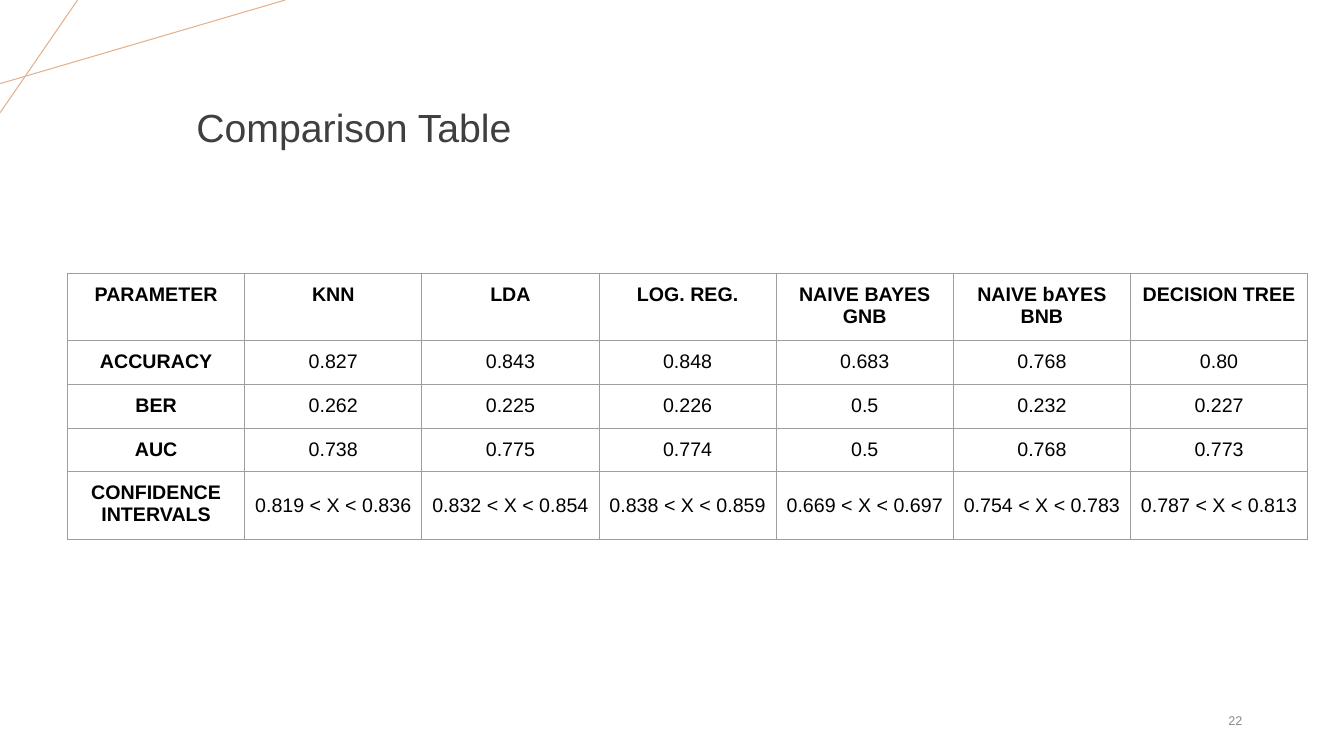
from dataclasses import dataclass

from lxml import etree
from pptx import Presentation
from pptx.dml.color import RGBColor
from pptx.enum.shapes import MSO_CONNECTOR
from pptx.enum.text import MSO_ANCHOR, PP_ALIGN
from pptx.oxml.ns import qn
from pptx.util import Pt

STRAIGHT = MSO_CONNECTOR.STRAIGHT
TOP, MIDDLE = MSO_ANCHOR.TOP, MSO_ANCHOR.MIDDLE
CENTER, RIGHT = PP_ALIGN.CENTER, PP_ALIGN.RIGHT
TITLE_ONLY = 5
EMU_PER_PX = 9144  # 100 px to the inch


@dataclass(frozen=True)
class Theme:
    font: str = "Arial"
    accent: str = "E2B08C"
    title: str = "3F3F3F"
    ink: str = "000000"
    muted: str = "888888"
    grid: str = "9E9E9E"
    title_size: int = 28
    table_size: int = 14
    number_size: int = 9
    line_width: float = 0.75


def px(n):
    return n * EMU_PER_PX


def write(tf, text, *, font, size, color, bold=False, align=CENTER, spacing=None):
    """Fill a text frame, one paragraph for each line of text."""
    for i, line in enumerate(text.split("\n")):
        p = tf.add_paragraph() if i else tf.paragraphs[0]
        p.alignment = align
        if spacing:
            p.line_spacing = spacing
        r = p.add_run()
        r.text = line
        r.font.name, r.font.size, r.font.bold = font, Pt(size), bold
        r.font.color.rgb = RGBColor.from_string(color)


class Deck:
    def __init__(self, theme, width, height):
        self.t = theme
        self.prs = Presentation()
        self.prs.slide_width, self.prs.slide_height = px(width), px(height)
        self.s = self.prs.slides.add_slide(self.prs.slide_layouts[TITLE_ONLY])

    def frame(self, sp):
        tf = sp.text_frame
        tf.word_wrap = True
        tf.vertical_anchor = MIDDLE
        tf.margin_left = tf.margin_right = px(10)
        tf.margin_top = tf.margin_bottom = px(5)
        return tf

    def line(self, x1, y1, x2, y2):
        c = self.s.shapes.add_connector(STRAIGHT, px(x1), px(y1), px(x2), px(y2))
        c.line.color.rgb = RGBColor.from_string(self.t.accent)
        c.line.width = Pt(self.t.line_width)
        etree.SubElement(c._element.spPr, qn("a:effectLst"))

    def title(self, text, x, y, w, h):
        sp = self.s.shapes.title
        sp.left, sp.top, sp.width, sp.height = px(x), px(y), px(w), px(h)
        write(self.frame(sp), text, font=self.t.font, size=self.t.title_size,
              color=self.t.title, spacing=0.9)

    def page_number(self, text, x, y, w, h):
        sp = self.s.shapes.add_textbox(px(x), px(y), px(w), px(h))
        write(self.frame(sp), text, font=self.t.font, size=self.t.number_size,
              color=self.t.muted, align=RIGHT)

    def borders(self, cell):
        tcPr = cell._tc.get_or_add_tcPr()
        for i, side in enumerate(("lnL", "lnR", "lnT", "lnB")):
            ln = etree.Element(qn(f"a:{side}"), w=str(Pt(self.t.line_width)))
            fill = etree.SubElement(ln, qn("a:solidFill"))
            etree.SubElement(fill, qn("a:srgbClr"), val=self.t.grid)
            tcPr.insert(i, ln)

    def table(self, rows, x, y, w, heights):
        n = len(rows[0])
        tbl = self.s.shapes.add_table(len(rows), n, px(x), px(y), px(w),
                                      px(sum(heights))).table
        for col in tbl.columns:
            col.width = px(w) // n
        for i, (values, h) in enumerate(zip(rows, heights)):
            tbl.rows[i].height = px(h)
            for j, value in enumerate(values):
                cell = tbl.cell(i, j)
                cell.fill.background()
                cell.margin_left = cell.margin_right = px(10)
                cell.margin_top = cell.margin_bottom = px(10)
                last_row = i == len(rows) - 1
                cell.vertical_anchor = MIDDLE if last_row and j else TOP
                write(cell.text_frame, value, font=self.t.font,
                      size=self.t.table_size, color=self.t.ink,
                      bold=i == 0 or j == 0)
                self.borders(cell)


RESULTS = [
    ["PARAMETER", "KNN", "LDA", "LOG. REG.", "NAIVE BAYES\nGNB",
     "NAIVE bAYES\nBNB", "DECISION TREE"],
    ["ACCURACY", "0.827", "0.843", "0.848", "0.683", "0.768", "0.80"],
    ["BER", "0.262", "0.225", "0.226", "0.5", "0.232", "0.227"],
    ["AUC", "0.738", "0.775", "0.774", "0.5", "0.768", "0.773"],
    ["CONFIDENCE INTERVALS", "0.819 < X < 0.836", "0.832 < X < 0.854",
     "0.838 < X < 0.859", "0.669 < X < 0.697", "0.754 < X < 0.783",
     "0.787 < X < 0.813"],
]


def main():
    deck = Deck(Theme(), 1333, 750)
    # Corner lines
    deck.line(0, 83, 283, 0)
    deck.line(77, 0, 0, 112)
    # Title and page number
    deck.title("Comparison Table", 155, 56, 392, 145)
    deck.page_number("22", 942, 695, 300, 40)
    # Classifier results
    deck.table(RESULTS, 67, 271, 1230, [67, 43, 43, 43, 67])
    deck.prs.save("out.pptx")


if __name__ == "__main__":
    main()
